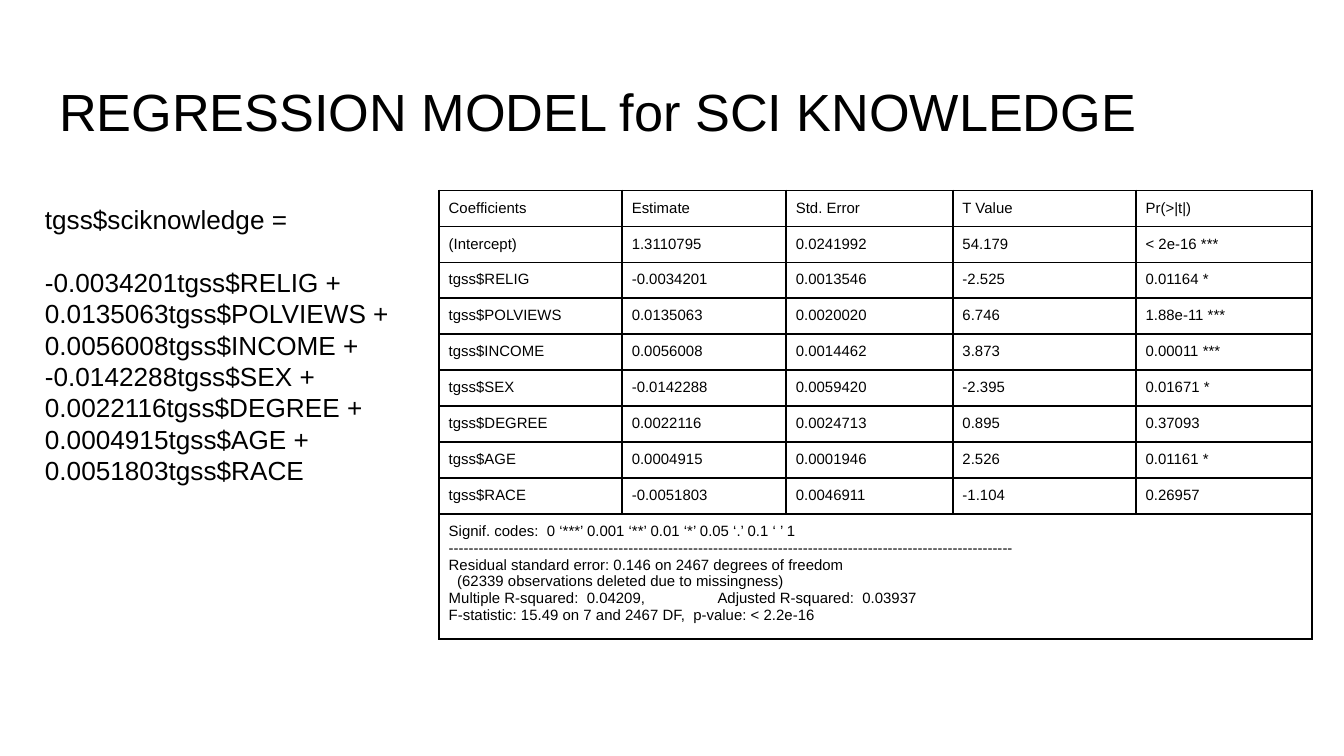
"""Build a slide with a regression formula and its table of coefficients."""
from dataclasses import dataclass

from lxml import etree
from pptx import Presentation
from pptx.dml.color import RGBColor
from pptx.enum.text import MSO_ANCHOR
from pptx.oxml.ns import qn
from pptx.util import Cm, Pt

TOP = MSO_ANCHOR.TOP


@dataclass(frozen=True)
class Theme:
    font: str = "Arial"
    ink: str = "000000"
    title: float = 28
    body: float = 14
    cell: float = 8
    rule: float = 1


THEME = Theme()
TITLE = "REGRESSION MODEL for SCI KNOWLEDGE"
MODEL = [
    "tgss$sciknowledge =",
    "-0.0034201tgss$RELIG + 0.0135063tgss$POLVIEWS + 0.0056008tgss$INCOME + "
    "-0.0142288tgss$SEX + 0.0022116tgss$DEGREE + 0.0004915tgss$AGE + "
    "0.0051803tgss$RACE",
]
ROWS = [
    ["Coefficients", "Estimate", "Std. Error", "T Value", "Pr(>|t|)"],
    ["(Intercept)", "1.3110795", "0.0241992", "54.179", "< 2e-16 ***"],
    ["tgss$RELIG", "-0.0034201", "0.0013546", "-2.525", "0.01164 *"],
    ["tgss$POLVIEWS", "0.0135063", "0.0020020", "6.746", "1.88e-11 ***"],
    ["tgss$INCOME", "0.0056008", "0.0014462", "3.873", "0.00011 ***"],
    ["tgss$SEX", "-0.0142288", "0.0059420", "-2.395", "0.01671 *"],
    ["tgss$DEGREE", "0.0022116", "0.0024713", "0.895", "0.37093"],
    ["tgss$AGE", "0.0004915", "0.0001946", "2.526", "0.01161 *"],
    ["tgss$RACE", "-0.0051803", "0.0046911", "-1.104", "0.26957"],
]
NOTES = [
    "Signif. codes:  0 ‘***’ 0.001 ‘**’ 0.01 ‘*’ 0.05 ‘.’ 0.1 ‘ ’ 1",
    "-" * 113,
    "Residual standard error: 0.146 on 2467 degrees of freedom",
    "(62339 observations deleted due to missingness)",
    "Multiple R-squared:  0.04209,\tAdjusted R-squared:  0.03937",
    "F-statistic: 15.49 on 7 and 2467 DF,  p-value: < 2.2e-16",
]
INDENT_LINE = 3
NOTE_ROWS = 3
WIDTHS = [3.46, 3.1, 3.15, 3.46, 3.33]
ROW_H, NOTE_H = 0.67, 0.76


def set_tab(para, stop):
    tabs = etree.SubElement(para._p.get_or_add_pPr(), qn("a:tabLst"))
    etree.SubElement(tabs, qn("a:tab"), pos=str(Cm(stop)), algn="l")


def write(frame, lines, size, gap=0):
    frame.text = "\n".join(lines)
    for i, para in enumerate(frame.paragraphs):
        para.space_before = Pt(gap if i else 0)
        if "\t" in lines[i]:
            set_tab(para, 5.08)
        para.font.name = THEME.font
        para.font.size = Pt(size)
        para.font.color.rgb = RGBColor.from_string(THEME.ink)


def add_text(slide, box, lines, size, gap=0):
    frame = slide.shapes.add_textbox(*map(Cm, box)).text_frame
    frame.word_wrap = True
    frame.vertical_anchor = TOP
    frame.margin_left = frame.margin_right = Cm(0.25)
    frame.margin_top = frame.margin_bottom = Cm(0.25)
    write(frame, lines, size, gap)


def style_cell(cell):
    cell.margin_left = cell.margin_right = Cm(0.18)
    cell.margin_top = cell.margin_bottom = Cm(0.17)
    cell.vertical_anchor = TOP
    props = cell._tc.get_or_add_tcPr()
    for side in ("lnL", "lnR", "lnT", "lnB"):
        line = etree.SubElement(props, qn(f"a:{side}"), w=str(Pt(THEME.rule)))
        fill = etree.SubElement(line, qn("a:solidFill"))
        etree.SubElement(fill, qn("a:srgbClr"), val=THEME.ink)
    cell.fill.background()


def add_grid(slide, left, top):
    heights = [ROW_H] * len(ROWS) + [NOTE_H] * NOTE_ROWS
    table = slide.shapes.add_table(
        len(heights), len(WIDTHS), Cm(left), Cm(top),
        Cm(sum(WIDTHS)), Cm(sum(heights))).table
    table.first_row = table.horz_banding = False
    for col, width in zip(table.columns, WIDTHS):
        col.width = Cm(width)
    for row, height in zip(table.rows, heights):
        row.height = Cm(height)
    for cell in table.iter_cells():
        style_cell(cell)
    for r, texts in enumerate(ROWS):
        for c, text in enumerate(texts):
            write(table.cell(r, c).text_frame, [text], THEME.cell)
    notes = table.cell(len(ROWS), 0)
    notes.merge(table.cell(len(heights) - 1, len(WIDTHS) - 1))
    write(notes.text_frame, NOTES, THEME.cell)
    para = notes.text_frame.paragraphs[INDENT_LINE]
    para._p.get_or_add_pPr().set("marL", str(Cm(0.16)))


def main():
    deck = Presentation()
    deck.slide_width, deck.slide_height = Cm(25.4), Cm(14.29)
    slide = deck.slides.add_slide(deck.slide_layouts[6])
    add_text(slide, (0.87, 1.24, 23.67, 1.6), [TITLE], THEME.title)
    add_text(slide, (0.6, 3.6, 7.7, 9.5), MODEL, THEME.body, gap=16.8)
    add_grid(slide, 8.3, 3.6)
    deck.save("out.pptx")


if __name__ == "__main__":
    main()
